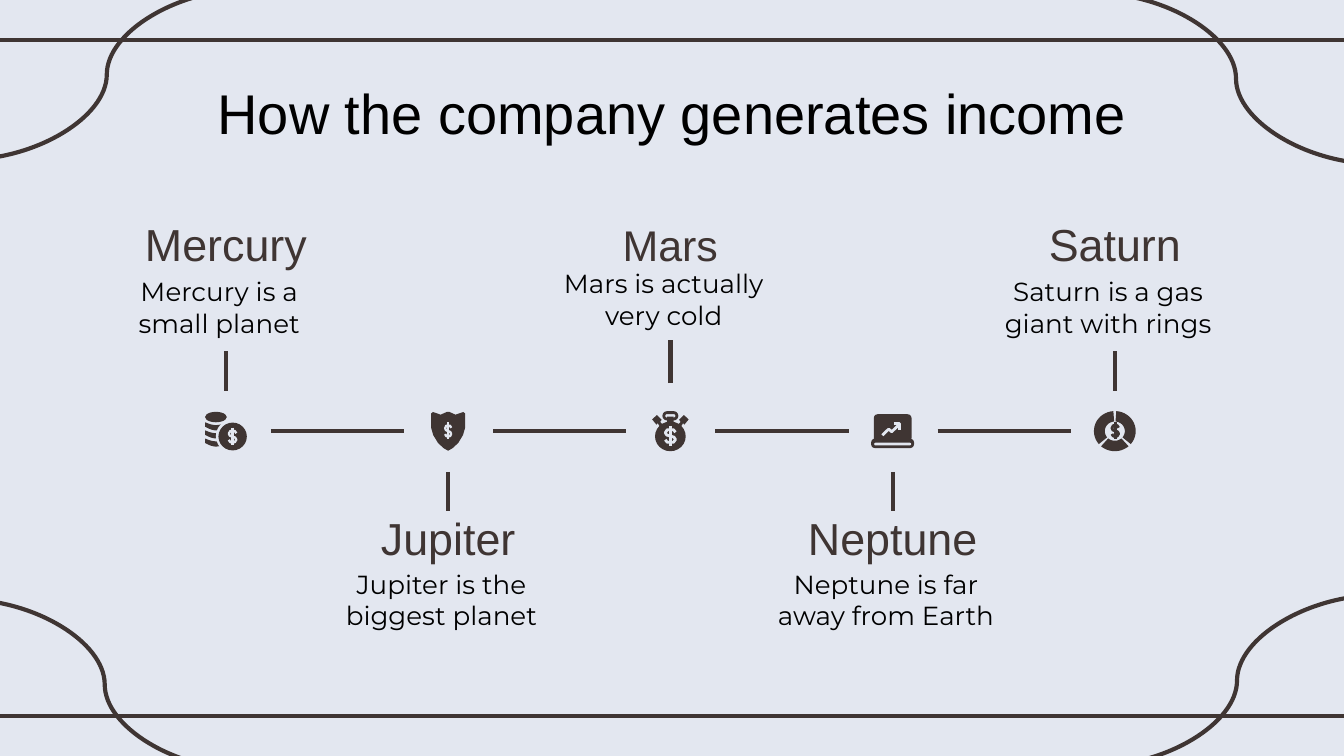
import math

import lxml.etree
import pptx
import pptx.dml.color
import pptx.enum.shapes
import pptx.enum.text
import pptx.oxml.ns
import pptx.util

Cm = pptx.util.Cm
SHAPE = pptx.enum.shapes.MSO_SHAPE
CONNECTOR = pptx.enum.shapes.MSO_CONNECTOR
ANCHOR = pptx.enum.text.MSO_ANCHOR

INK, PAPER, BLACK = "3F3533", "E3E7F0", "000000"
WIDTH, HEIGHT = 25.4, 14.29
FIRST_X, PITCH, AXIS_Y = 4.27, 4.2, 8.15
DOLLAR = [
    [(1, .32), (.8, .19), (.2, .19), (0, .34), (.15, .46), (.85, .56),
     (1, .68), (.8, .82), (.2, .82), (0, .69)],
    [(.5, 0), (.5, 1)],
]


def colour(code):
    return pptx.dml.color.RGBColor.from_string(code)


def inside(box, part):
    left, top, width, height = box
    x, y, w, h = part
    return left + x * width, top + y * height, w * width, h * height


def mirrored(points):
    return [(1 - x, y) for x, y in reversed(points)]


def add_line(page, start, end, kind=CONNECTOR.STRAIGHT):
    line = page.shapes.add_connector(kind, *map(Cm, start + end))
    line.line.color.rgb = colour(INK)
    line.line.width = pptx.util.Pt(2.25)
    lxml.etree.SubElement(line._element.spPr, pptx.oxml.ns.qn("a:effectLst"))


def add_text(page, box, text, size, font, code, margins, anchor=ANCHOR.TOP):
    frame = page.shapes.add_textbox(*map(Cm, box)).text_frame
    frame.word_wrap = True
    frame.vertical_anchor = anchor
    (frame.margin_left, frame.margin_top,
     frame.margin_right, frame.margin_bottom) = map(Cm, margins)
    para = frame.paragraphs[0]
    para.alignment = pptx.enum.text.PP_ALIGN.CENTER
    span = para.add_run()
    span.text = text
    span.font.size = pptx.util.Pt(size)
    span.font.name = font
    span.font.color.rgb = colour(code)


def paint(shape, code, stroke=None):
    shape.shadow.inherit = False
    if stroke:
        shape.fill.background()
        shape.line.color.rgb = colour(code)
        shape.line.width = pptx.util.Pt(stroke)
    else:
        shape.fill.solid()
        shape.fill.fore_color.rgb = colour(code)
        shape.line.fill.background()


def add_preset(page, kind, box, code, stroke=None, corner=None):
    shape = page.shapes.add_shape(kind, *map(Cm, box))
    if corner is not None:
        shape.adjustments[0] = corner
    paint(shape, code, stroke)


def add_outline(page, box, contours, code, stroke=None):
    left, top, width, height = box
    paths = [[(Cm(left + x * width), Cm(top + y * height)) for x, y in contour]
             for contour in contours]
    builder = page.shapes.build_freeform(*paths[0][0])
    for number, path in enumerate(paths):
        if number:
            builder.move_to(*path[0])
        builder.add_line_segments(path[1:], close=not stroke)
    paint(builder.convert_to_shape(), code, stroke)


def draw_coins(page, box):
    add_preset(page, SHAPE.OVAL, inside(box, (0, 0, .52, .27)), INK)
    steps = [step / 12 for step in range(13)]
    upper = [(t, .35 * math.sin(math.pi * t)) for t in steps]
    lower = [(t, .55 + .45 * math.sin(math.pi * t)) for t in reversed(steps)]
    for level in range(3):
        band = inside(box, (0, .27 + .21 * level, .52, .21))
        add_outline(page, band, [upper + lower], INK)
    add_preset(page, SHAPE.OVAL, inside(box, (.26, .2, .8, .86)), PAPER)
    add_preset(page, SHAPE.OVAL, inside(box, (.32, .28, .68, .72)), INK)
    add_outline(page, inside(box, (.57, .41, .18, .46)), DOLLAR, PAPER, 1.25)


def draw_shield(page, box):
    half = [(.5, 1), (.36, .93), (.2, .8), (.06, .6), (0, .42), (0, .05),
            (.05, .01), (.28, .08), (.46, .01)]
    add_outline(page, box, [half + mirrored(half)], INK)
    add_outline(page, inside(box, (.41, .28, .18, .43)), DOLLAR, PAPER, 1.25)


def draw_stopwatch(page, box):
    add_preset(page, SHAPE.OVAL, inside(box, (.08, .26, .84, .74)), INK)
    add_preset(page, SHAPE.ROUNDED_RECTANGLE, inside(box, (.32, .04, .36, .16)),
               INK, 1.5, .5)
    add_preset(page, SHAPE.RECTANGLE, inside(box, (.41, .14, .18, .16)), INK)
    pusher = [(0, .21), (.13, .1), (.26, .22), (.22, .27), (.3, .35),
              (.22, .4), (.15, .3), (.12, .34)]
    for contour in (pusher, mirrored(pusher)):
        add_outline(page, box, [contour], INK)
    add_outline(page, inside(box, (.36, .37, .28, .5)), DOLLAR, PAPER, 1.5)


def draw_laptop(page, box):
    rounded = SHAPE.ROUNDED_RECTANGLE
    add_preset(page, rounded, inside(box, (.06, 0, .88, .82)), INK, corner=.14)
    add_preset(page, rounded, inside(box, (0, .72, 1, .28)), INK, corner=.4)
    add_preset(page, rounded, inside(box, (.07, .84, .86, .08)), PAPER, corner=.5)
    trend = [(.26, .62), (.41, .44), (.48, .52), (.67, .28)]
    head = [(.53, .28), (.67, .28), (.67, .46)]
    add_outline(page, box, [trend, head], PAPER, 1.5)


def draw_ring(page, box):
    def arc(radius, first, last):
        angles = [math.radians(first + (last - first) * step / 16)
                  for step in range(17)]
        return [(.5 + radius * math.sin(a), .5 - radius * math.cos(a))
                for a in angles]

    for first, last in ((4, 130), (139, 221), (230, 356)):
        sector = arc(.5, first, last) + arc(.24, last, first)
        add_outline(page, box, [sector], INK)
    add_outline(page, inside(box, (.43, .28, .16, .42)), DOLLAR, INK, 1.5)


def draw_frame(page, box):
    left, top, width, height = box
    right, bottom = left + width, top + height
    for y in (top + .76, bottom - .75):
        add_line(page, (left - .2, y), (right + .2, y))
    curves = [
        ((left + 4.7, top - .2), (left - .66, top + 3.02)),
        ((right - 4.72, top - .13), (right + .64, top + 3.1)),
        ((left - .69, bottom - 2.96), (left + 4.65, bottom + .26)),
        ((right + .66, bottom - 3.04), (right - 4.7, bottom + .19)),
    ]
    for start, end in curves:
        add_line(page, start, end, CONNECTOR.CURVE)


def draw_stage(page, box, name, note, stem, tops, size=24, heights=(.85, 1.45),
               anchor=ANCHOR.TOP):
    left, axis, width = box
    centre = left + width / 2
    add_line(page, (centre, axis + stem[0]), (centre, axis + stem[1]))
    add_text(page, (left, axis + tops[0], width, heights[0]), name, size,
             "Arial", INK, (0, 0, 0, 0), anchor)
    add_text(page, (left, axis + tops[1], width, heights[1]), note, 14,
             "Montserrat", BLACK, (0, 0, .25, .25), anchor)


def draw_timeline(page, first_x, pitch, axis):
    above = {"stem": (-.76, -1.52), "tops": (-4.06, -2.94)}
    below = {"stem": (.77, 1.5), "tops": (1.5, 2.59)}
    middle = {"stem": (-.91, -1.72), "tops": (-4.01, -3.02), "size": 23,
              "heights": (.97, 1.3), "anchor": ANCHOR.MIDDLE}
    stages = [
        ("Mercury", "Mercury is a small planet", above, draw_coins, (.79, .73)),
        ("Jupiter", "Jupiter is the biggest planet", below, draw_shield, (.64, .74)),
        ("Mars", "Mars is actually very cold", middle, draw_stopwatch, (.69, .76)),
        ("Neptune", "Neptune is far away from Earth", below, draw_laptop, (.81, .64)),
        ("Saturn", "Saturn is a gas giant with rings", above, draw_ring, (.79, .76)),
    ]
    for number, (name, note, place, draw_icon, (w, h)) in enumerate(stages):
        x = first_x + number * pitch
        if number:
            add_line(page, (x - pitch + .85, axis), (x - .83, axis))
        draw_icon(page, (x - w / 2, axis - h / 2, w, h))
        draw_stage(page, (x - 2.25, axis, 4.5), name, note, **place)


def main():
    deck = pptx.Presentation()
    deck.slide_width, deck.slide_height = Cm(WIDTH), Cm(HEIGHT)
    page = deck.slides.add_slide(deck.slide_layouts[6])
    page.background.fill.solid()
    page.background.fill.fore_color.rgb = colour(PAPER)
    draw_frame(page, (0, 0, WIDTH, HEIGHT))
    add_text(page, (1.98, 1.24, 21.44, 1.6), "How the company generates income",
             30, "Arial", BLACK, (.25, .25, .25, .25))
    draw_timeline(page, FIRST_X, PITCH, AXIS_Y)
    deck.save("out.pptx")


if __name__ == "__main__":
    main()
